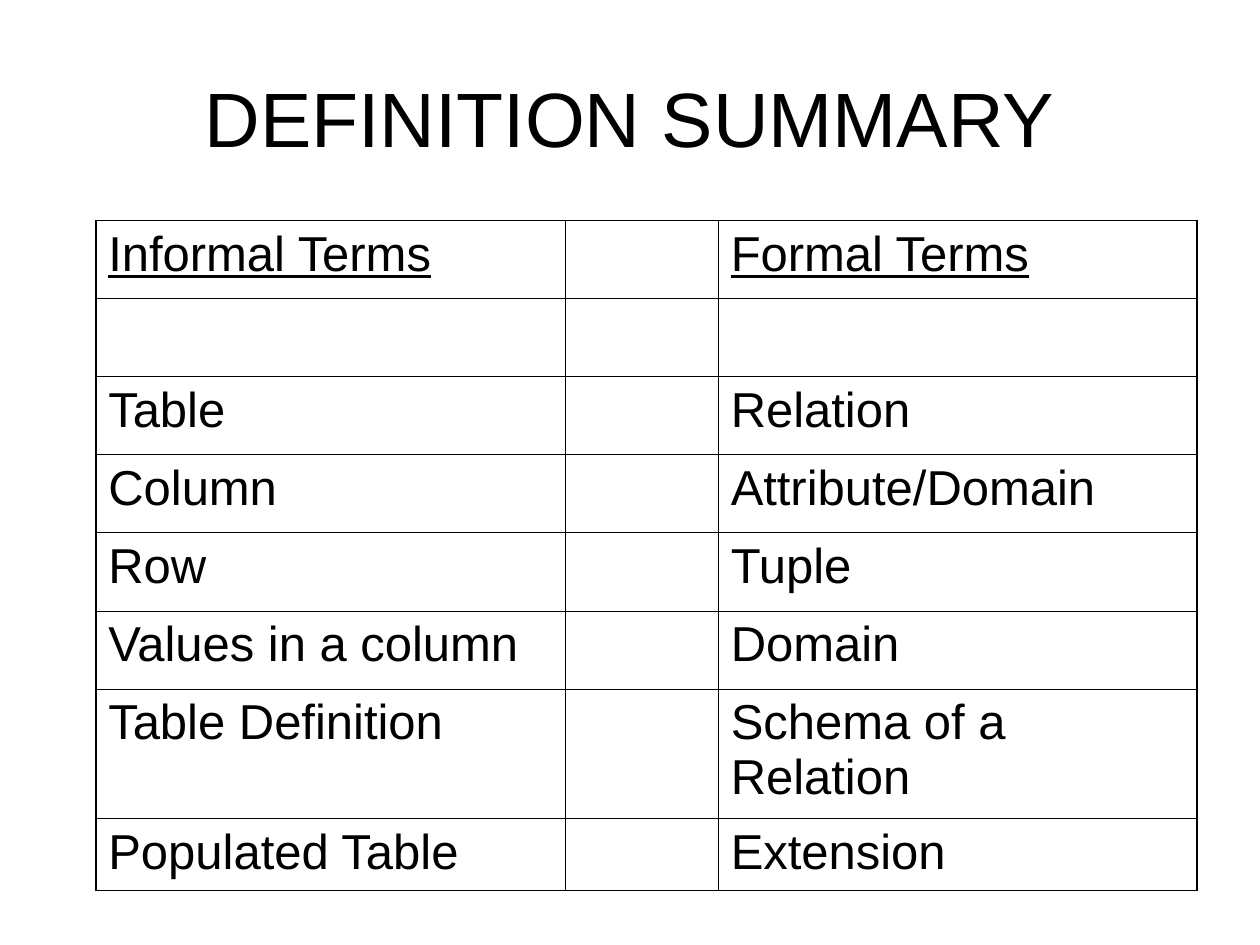
from dataclasses import dataclass

from lxml.etree import SubElement
from pptx import Presentation
from pptx.dml.color import RGBColor
from pptx.enum.text import MSO_ANCHOR, PP_ALIGN
from pptx.oxml.ns import qn
from pptx.util import Inches, Pt

TITLE = "DEFINITION SUMMARY"
ROWS = [
    ("Informal Terms", "", "Formal Terms"),
    ("", "", ""),
    ("Table", "", "Relation"),
    ("Column", "", "Attribute/Domain"),
    ("Row", "", "Tuple"),
    ("Values in a column", "", "Domain"),
    ("Table Definition", "", "Schema of a Relation"),
    ("Populated Table", "", "Extension"),
]
COLUMN_WIDTHS = [3.73, 1.21, 3.8]
ROW_HEIGHTS = [0.62] * 6 + [1.03, 0.57]


@dataclass(frozen=True)
class Theme:
    font: str = "Arial"
    text: str = "000000"
    background: str = "FFFFFF"
    border: str = "000000"
    title_size: float = 44
    cell_size: float = 28
    outer_line: float = 1.08
    inner_line: float = 0.45


THEME = Theme()


def style_font(font, size):
    font.name = THEME.font
    font.size = Pt(size)
    font.color.rgb = RGBColor.from_string(THEME.text)


def add_borders(cell, outer_sides):
    properties = cell._tc.get_or_add_tcPr()
    for index, side in enumerate("LRTB"):
        width = THEME.outer_line if side in outer_sides else THEME.inner_line
        line = SubElement(properties, qn(f"a:ln{side}"), w=str(Pt(width)))
        fill = SubElement(line, qn("a:solidFill"))
        SubElement(fill, qn("a:srgbClr"), val=THEME.border)
        properties.insert(index, line)


def add_title(slide):
    title = slide.shapes.title
    title.left, title.top = Inches(0.5), Inches(0.3)
    title.width, title.height = Inches(9), Inches(1.25)
    frame = title.text_frame
    frame.text = TITLE
    frame.word_wrap = True
    frame.vertical_anchor = MSO_ANCHOR.MIDDLE
    paragraph = frame.paragraphs[0]
    paragraph.alignment = PP_ALIGN.CENTER
    style_font(paragraph.runs[0].font, THEME.title_size)


def add_definitions(slide):
    last_row, last_column = len(ROWS) - 1, len(COLUMN_WIDTHS) - 1
    table = slide.shapes.add_table(
        len(ROWS), len(COLUMN_WIDTHS), Inches(0.76), Inches(1.75),
        Inches(sum(COLUMN_WIDTHS)), Inches(sum(ROW_HEIGHTS)),
    ).table
    table.first_row = False
    table.horz_banding = False
    for column, width in zip(table.columns, COLUMN_WIDTHS):
        column.width = Inches(width)
    for row, height in zip(table.rows, ROW_HEIGHTS):
        row.height = Inches(height)

    for row_index, texts in enumerate(ROWS):
        for column_index, text in enumerate(texts):
            cell = table.cell(row_index, column_index)
            cell.fill.background()
            cell.margin_left = cell.margin_right = Inches(0.1)
            cell.margin_top = cell.margin_bottom = Inches(0.05)
            edges = {
                "L": column_index == 0,
                "R": column_index == last_column,
                "T": row_index == 0,
                "B": row_index == last_row,
            }
            add_borders(cell, [side for side, outer in edges.items() if outer])
            if text:
                cell.text_frame.text = text
                font = cell.text_frame.paragraphs[0].runs[0].font
                style_font(font, THEME.cell_size)
                font.underline = row_index == 0


def main():
    presentation = Presentation()
    presentation.slide_width = Inches(10)
    presentation.slide_height = Inches(7.5)
    slide = presentation.slides.add_slide(presentation.slide_layouts[5])
    slide.background.fill.solid()
    slide.background.fill.fore_color.rgb = RGBColor.from_string(THEME.background)
    add_title(slide)
    add_definitions(slide)
    presentation.save("out.pptx")


if __name__ == "__main__":
    main()
